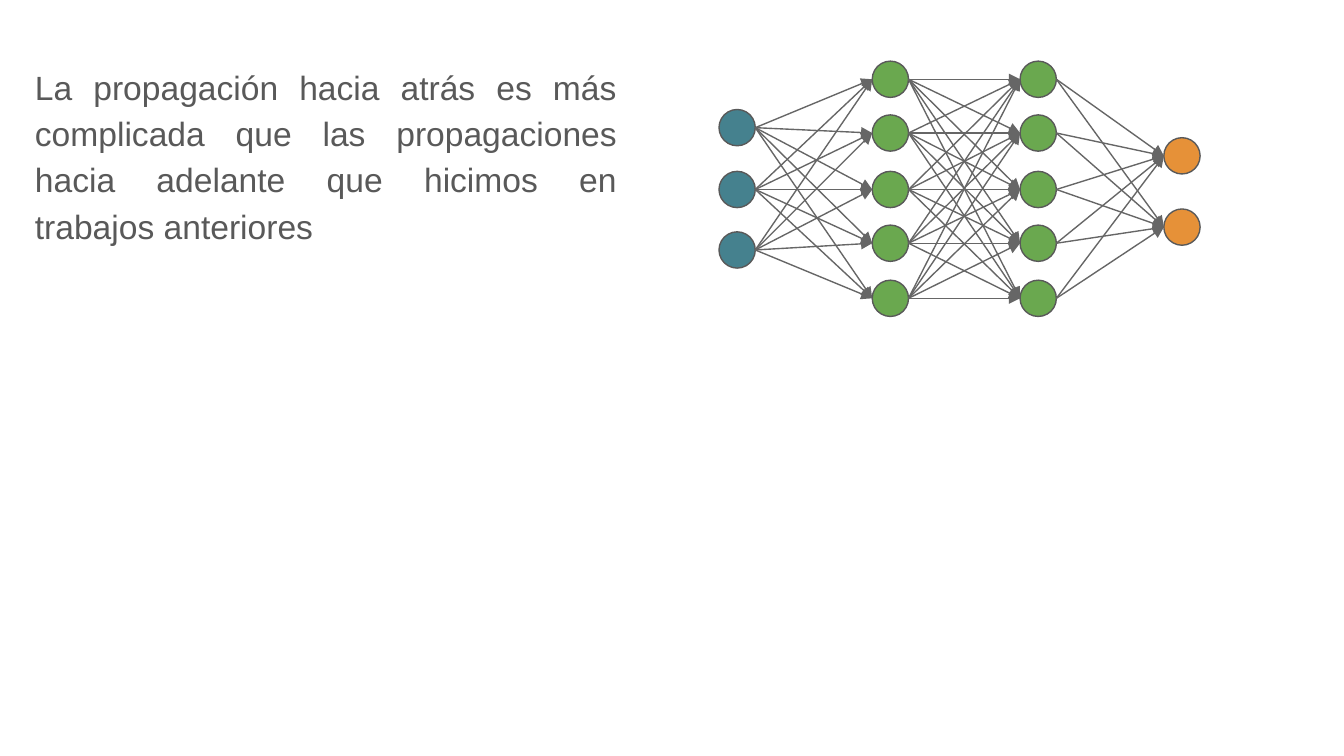
from dataclasses import dataclass
from itertools import pairwise, product

from lxml import etree
from pptx import Presentation
from pptx.dml.color import RGBColor
from pptx.enum.shapes import MSO_CONNECTOR, MSO_SHAPE
from pptx.enum.text import MSO_ANCHOR, MSO_AUTO_SIZE, PP_ALIGN
from pptx.oxml.ns import qn
from pptx.util import Inches, Pt

ELLIPSE = MSO_SHAPE.OVAL
STRAIGHT = MSO_CONNECTOR.STRAIGHT
JUSTIFY = PP_ALIGN.JUSTIFY
TOP = MSO_ANCHOR.TOP
NO_AUTOFIT = MSO_AUTO_SIZE.NONE


@dataclass(frozen=True)
class Theme:
    font: str = "Arial"
    body_size: float = 18
    line_width: float = 0.75
    text: str = "595959"
    outline: str = "595959"
    arrow: str = "666666"
    input: str = "45818E"
    hidden: str = "6AA84F"
    output: str = "E69138"


THEME = Theme()
PAGE_WIDTH = 10
NODE_SIZE = 0.27
HIDDEN_CENTRES = (0.59, 0.99, 1.41, 1.81, 2.22)

# Each layer: left edge, vertical node centres, fill
LAYERS = (
    (5.35, (0.95, 1.41, 1.86), THEME.input),
    (6.49, HIDDEN_CENTRES, THEME.hidden),
    (7.59, HIDDEN_CENTRES, THEME.hidden),
    (8.66, (1.16, 1.69), THEME.output),
)
BODY_TEXT = (
    "La propagación hacia atrás es más complicada que las propagaciones "
    "hacia adelante que hicimos en trabajos anteriores"
)


def rgb(value):
    return RGBColor.from_string(value)


def write_text(box, text, *, size, color, align, line_spacing):
    """Fill a text frame with one plain paragraph without a bullet."""
    frame = box.text_frame
    frame.word_wrap = True
    frame.auto_size = NO_AUTOFIT
    frame.vertical_anchor = TOP
    frame.margin_left = frame.margin_right = Inches(0.1)
    frame.margin_top = frame.margin_bottom = Inches(0.1)
    para = frame.paragraphs[0]
    para.alignment = align
    para.line_spacing = line_spacing
    para.space_before = para.space_after = Pt(0)
    properties = para._p.get_or_add_pPr()
    properties.set("marL", "0")
    properties.set("indent", "0")
    etree.SubElement(properties, qn("a:buNone"))
    span = para.add_run()
    span.text = text
    span.font.name = THEME.font
    span.font.size = Pt(size)
    span.font.color.rgb = rgb(color)


def add_node(network, left, centre, fill):
    node = network.shapes.add_shape(
        ELLIPSE, Inches(left), Inches(centre - NODE_SIZE / 2),
        Inches(NODE_SIZE), Inches(NODE_SIZE),
    )
    node.shadow.inherit = False
    node.fill.solid()
    node.fill.fore_color.rgb = rgb(fill)
    node.line.color.rgb = rgb(THEME.outline)
    node.line.width = Pt(THEME.line_width)


def add_arrow(network, start, end):
    arrow = network.shapes.add_connector(
        STRAIGHT, *(Inches(value) for value in (*start, *end))
    )
    arrow.line.color.rgb = rgb(THEME.arrow)
    arrow.line.width = Pt(THEME.line_width)
    etree.SubElement(arrow.line._get_or_add_ln(), qn("a:tailEnd"), type="triangle")
    etree.SubElement(arrow._element.spPr, qn("a:effectLst"))


def add_network(page):
    network = page.shapes.add_group_shape()
    for left, centres, fill in LAYERS:
        for centre in centres:
            add_node(network, left, centre, fill)
    # Every node feeds all nodes of the next layer
    for (left, sources, _), (next_left, targets, _) in pairwise(LAYERS):
        for source, target in product(sources, targets):
            add_arrow(network, (left + NODE_SIZE, source), (next_left, target))


def add_body(page):
    body = page.placeholders[1]
    body.left, body.top = Inches(0.16), Inches(0.35)
    body.width, body.height = Inches(4.53), Inches(1.87)
    write_text(body, BODY_TEXT, size=THEME.body_size, color=THEME.text,
               align=JUSTIFY, line_spacing=1.15)


def main():
    # Widescreen page, 16:9
    deck = Presentation()
    deck.slide_width = Inches(PAGE_WIDTH)
    deck.slide_height = Inches(PAGE_WIDTH * 9 / 16)
    page = deck.slides.add_slide(deck.slide_layouts[1])

    # The slide has no title
    title = page.shapes.title._element
    title.getparent().remove(title)

    add_network(page)
    add_body(page)
    deck.save("out.pptx")


if __name__ == "__main__":
    main()
